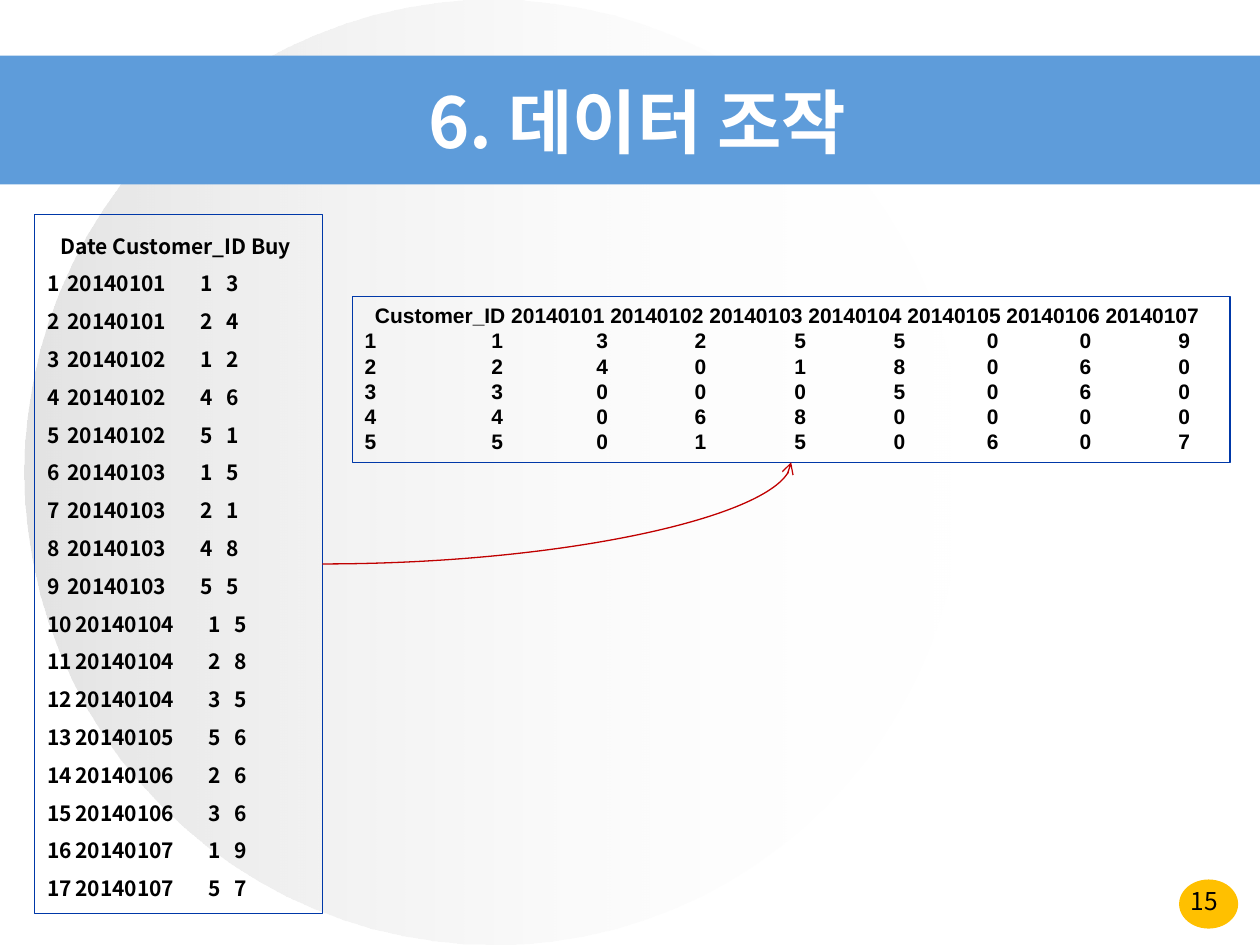
from dataclasses import dataclass

from lxml import etree
from pptx import Presentation
from pptx import util as u
from pptx.dml.color import RGBColor
from pptx.enum import shapes, text
from pptx.oxml.ns import qn


@dataclass(frozen=True)
class Theme:
    korean: str = "Noto Sans CJK KR"
    latin: str = "Arial"
    title_size: int = 40
    page_size: int = 14
    data_size: int = 12
    white: str = "FFFFFF"
    black: str = "000000"
    band: str = "5E9CDA"
    disc: str = "C0C0C0"
    disc_alpha: int = 44
    badge: str = "FFC000"
    frame: str = "0038A8"
    arrow: str = "C00000"
    line_width: float = 0.75


THEME = Theme()

# Date, customer, amount bought
PURCHASES = [
    (20140101, 1, 3), (20140101, 2, 4),
    (20140102, 1, 2), (20140102, 4, 6), (20140102, 5, 1),
    (20140103, 1, 5), (20140103, 2, 1), (20140103, 4, 8), (20140103, 5, 5),
    (20140104, 1, 5), (20140104, 2, 8), (20140104, 3, 5),
    (20140105, 5, 6),
    (20140106, 2, 6), (20140106, 3, 6),
    (20140107, 1, 9), (20140107, 5, 7),
]

# Tab stops in cm from the text edge
LONG_HEADER_STOP = 0.27
LONG_STOPS = [0.41, 3.09, 3.61]
DIGIT_SHIFT = 0.16
WIDE_HEADER_STOP = 0.21
WIDE_STOPS = [2.79, 4.91, 6.89, 8.9, 10.9, 12.78, 14.65, 16.64]


def cm_box(left, top, width, height):
    return [u.Cm(value) for value in (left, top, width, height)]


def add_shape(slide, kind, box, fill=None, line=None):
    shape = slide.shapes.add_shape(kind, *cm_box(*box))
    shape.shadow.inherit = False
    if fill:
        shape.fill.solid()
        shape.fill.fore_color.rgb = RGBColor.from_string(fill)
    else:
        shape.fill.background()
    if line:
        shape.line.color.rgb = RGBColor.from_string(line)
        shape.line.width = u.Pt(THEME.line_width)
    else:
        shape.line.fill.background()
    return shape


def add_disc(slide, box):
    """Background circle that fades out to the right."""
    disc = add_shape(slide, shapes.MSO_SHAPE.OVAL, box)
    disc.fill.gradient()
    disc.fill.gradient_angle = 0
    fades = [(0, THEME.disc, THEME.disc_alpha), (1, THEME.white, 0)]
    for stop, (position, color, alpha) in zip(disc.fill.gradient_stops, fades):
        stop.position = position
        stop.color.rgb = RGBColor.from_string(color)
    tints = disc.fill._xPr.iter(qn("a:srgbClr"))
    for tint, (_, _, alpha) in zip(tints, fades):
        etree.SubElement(tint, qn("a:alpha")).set("val", str(alpha * 1000))


def add_run(paragraph, words, font, size, color, bold=False):
    run = paragraph.add_run()
    run.text = words
    run.font.name = font
    run.font.size = u.Pt(size)
    run.font.bold = bold
    run.font.color.rgb = RGBColor.from_string(color)
    etree.SubElement(run.font._element, qn("a:ea")).set("typeface", font)


def add_label(slide, box, words, size, color, bold=False,
              anchor=text.MSO_ANCHOR.TOP):
    frame = slide.shapes.add_textbox(*cm_box(*box)).text_frame
    frame.word_wrap = True
    frame.vertical_anchor = anchor
    paragraph = frame.paragraphs[0]
    paragraph.alignment = text.PP_ALIGN.CENTER
    add_run(paragraph, words, THEME.korean, size, color, bold)


def set_tabs(paragraph, stops, align):
    tabs = etree.SubElement(paragraph._p.get_or_add_pPr(), qn("a:tabLst"))
    for stop in stops:
        tab = etree.SubElement(tabs, qn("a:tab"))
        tab.set("pos", str(int(u.Cm(stop))))
        tab.set("algn", align)


def add_listing(slide, box, rows, font, spacing):
    """Framed data print-out; each row is (words, tab stops, tab alignment)."""
    listing = add_shape(slide, shapes.MSO_SHAPE.RECTANGLE, box, line=THEME.frame)
    frame = listing.text_frame
    frame.word_wrap = True
    frame.vertical_anchor = text.MSO_ANCHOR.TOP
    for index, (words, stops, align) in enumerate(rows):
        paragraph = frame.add_paragraph() if index else frame.paragraphs[0]
        paragraph.alignment = text.PP_ALIGN.LEFT
        paragraph.line_spacing = spacing
        set_tabs(paragraph, stops, align)
        add_run(paragraph, words, font, THEME.data_size, THEME.black, bold=True)
    return listing


def add_curved_arrow(slide, source, target):
    """Curve from the right side of source to the bottom of target."""
    arrow = slide.shapes.add_connector(shapes.MSO_CONNECTOR.CURVE, 0, 0, 0, 0)
    arrow.begin_connect(source, 3)
    arrow.end_connect(target, 2)
    arrow.line.color.rgb = RGBColor.from_string(THEME.arrow)
    arrow.line.width = u.Pt(THEME.line_width)
    properties = arrow._element.spPr
    properties.find(qn("a:prstGeom")).set("prst", "curvedConnector2")
    etree.SubElement(properties.find(qn("a:ln")), qn("a:tailEnd")).set("type", "arrow")
    etree.SubElement(properties, qn("a:effectLst"))


def tabbed(values):
    return "\t".join(str(value) for value in values)


def long_rows():
    rows = [("\tDate Customer_ID Buy", [LONG_HEADER_STOP], "l")]
    for number, purchase in enumerate(PURCHASES, 1):
        shift = DIGIT_SHIFT * (len(str(number)) - 1)
        stops = [stop + shift for stop in LONG_STOPS]
        rows.append((tabbed((number, *purchase)), stops, "l"))
    return rows


def wide_rows():
    """Purchases pivoted to one row per customer and one column per date."""
    bought = {(date, customer): buy for date, customer, buy in PURCHASES}
    dates = sorted({date for date, _, _ in PURCHASES})
    customers = sorted({customer for _, customer, _ in PURCHASES})
    header = " ".join(["Customer_ID", *map(str, dates)])
    rows = [("\t" + header, [WIDE_HEADER_STOP], "l")]
    for number, customer in enumerate(customers, 1):
        amounts = [bought.get((date, customer), 0) for date in dates]
        rows.append((tabbed([number, customer, *amounts]), WIDE_STOPS, "r"))
    return rows


def main():
    deck = Presentation()
    deck.slide_width, deck.slide_height = u.Cm(25.4), u.Cm(19.05)
    slide = deck.slides.add_slide(deck.slide_layouts[6])

    # Backdrop
    add_shape(slide, shapes.MSO_SHAPE.OVAL, (23.77, 17.73, 1.19, 0.99), THEME.badge)
    add_disc(slide, (0.5, 0, 18.9, 19.05))
    add_shape(slide, shapes.MSO_SHAPE.RECTANGLE, (0, 1.12, 25.4, 2.6), THEME.band)

    # Title and page number
    add_label(slide, (0.3, 1.47, 25.1, 1.91), "6. 데이터 조작", THEME.title_size,
              THEME.white, bold=True, anchor=text.MSO_ANCHOR.MIDDLE)
    add_label(slide, (23.16, 17.73, 2.24, 0.74), "15", THEME.page_size, THEME.black)

    # Long data reshaped to wide data
    purchases = add_listing(slide, (0.7, 4.32, 5.8, 14.1), long_rows(),
                            THEME.korean, 1.5)
    pivot = add_listing(slide, (7.1, 5.98, 17.7, 3.34), wide_rows(),
                        THEME.latin, 1.0)
    add_curved_arrow(slide, purchases, pivot)

    deck.save("out.pptx")


if __name__ == "__main__":
    main()
